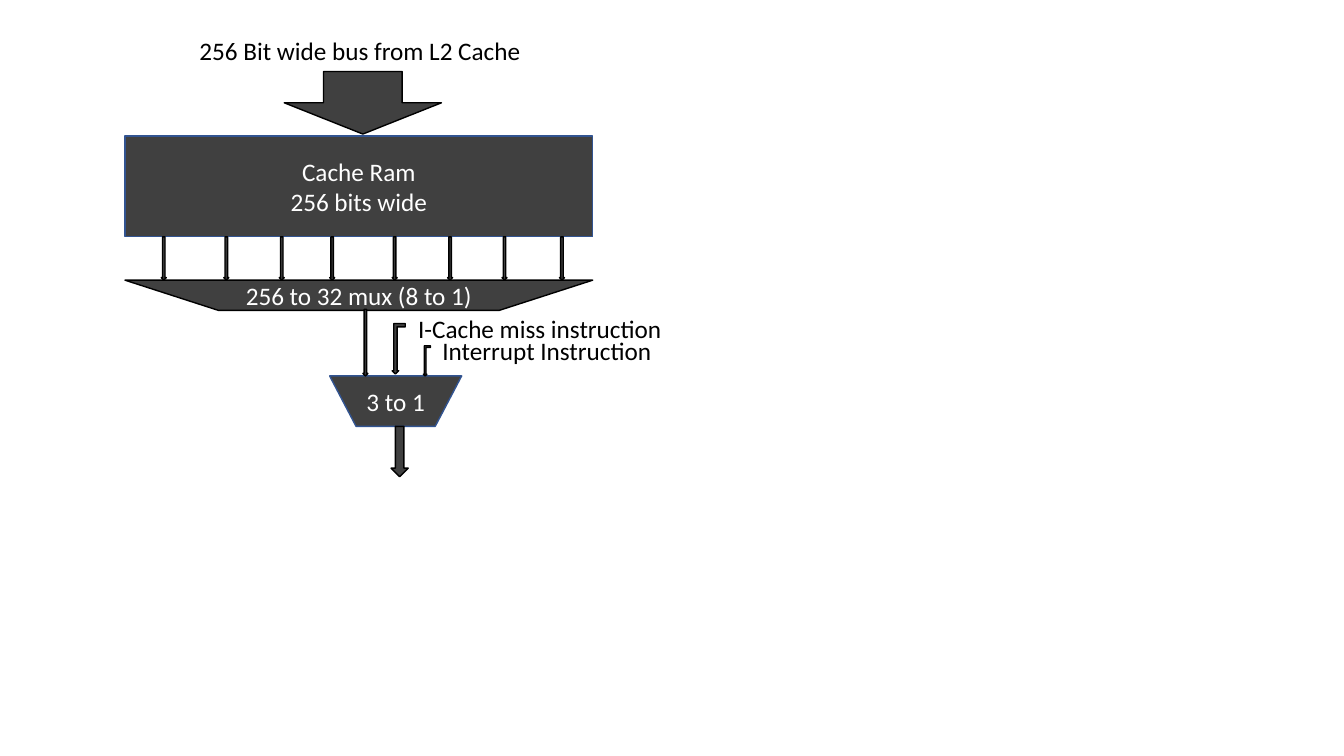
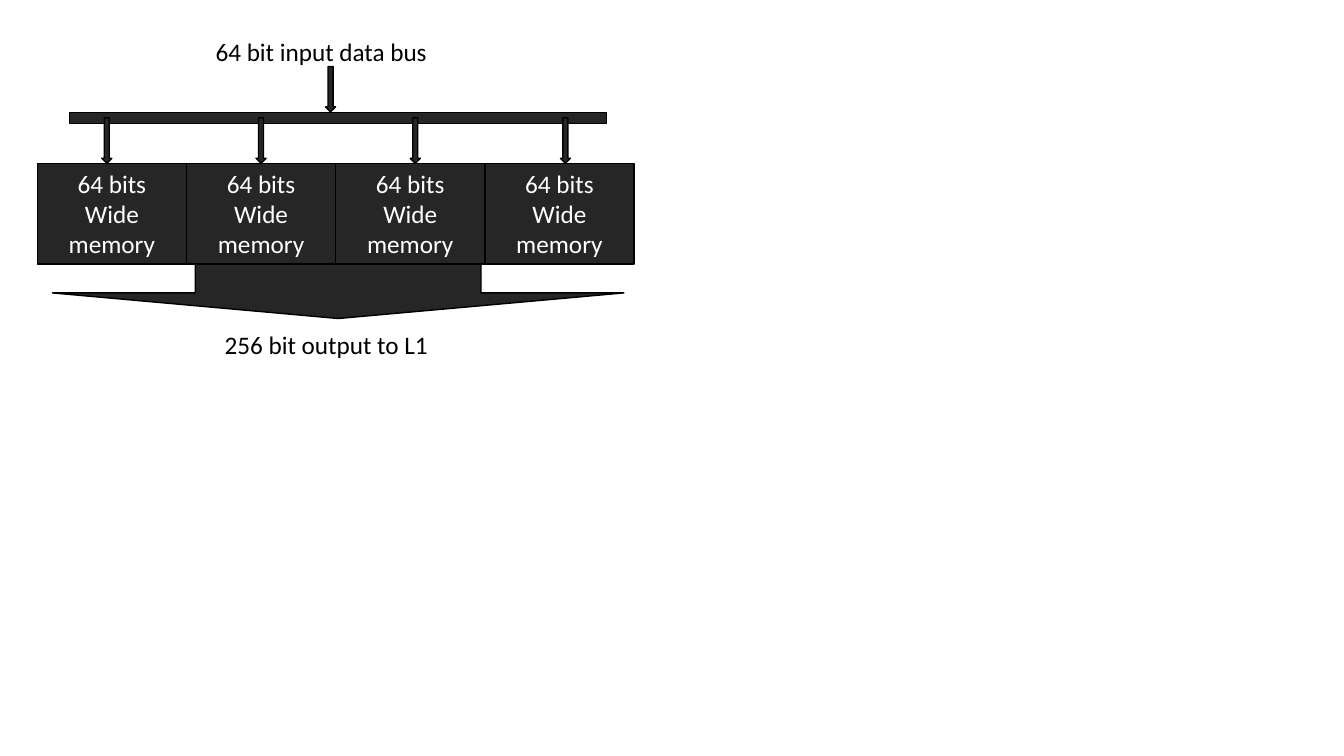
import pptx
import pptx.dml.color
import pptx.enum.shapes
import pptx.enum.text
import pptx.util

COLORS = {
    "gray": "404040",
    "dark": "262626",
    "blue": "325491",
    "black": "000000",
    "white": "FFFFFF",
}
FONT = "Calibri"
SIZE = 18
CELL = 0.1  # side of one grid cell, in inches
KIND = pptx.enum.shapes.MSO_SHAPE
ALIGN = pptx.enum.text.PP_ALIGN


def cells(*counts):
    """Turn counts of grid columns or rows into lengths."""
    return [pptx.util.Inches(count * CELL) for count in counts]


def color(name):
    """Look up a named colour."""
    return pptx.dml.color.RGBColor.from_string(COLORS[name])


def write(frame, lines, ink, align):
    """Fill a text frame with one paragraph per line."""
    for row, line in enumerate(lines):
        para = frame.paragraphs[0] if row == 0 else frame.add_paragraph()
        para.alignment = align
        run = para.add_run()
        run.text = line
        run.font.name = FONT
        run.font.size = pptx.util.Pt(SIZE)
        run.font.color.rgb = color(ink)


def block(slide, kind, area, fill, edge="black", lines=(), turn=0):
    """Add a filled, outlined shape with optional centred text."""
    shape = slide.shapes.add_shape(kind, *cells(*area))
    shape.shadow.inherit = False
    shape.rotation = turn
    shape.fill.solid()
    shape.fill.fore_color.rgb = color(fill)
    shape.line.color.rgb = color(edge)
    shape.line.width = pptx.util.Pt(1)
    write(shape.text_frame, lines, "white", ALIGN.CENTER)
    return shape


def arrows(slide, lefts, top, wide, high, fill):
    """Add a row of equal down arrows."""
    for left in lefts:
        block(slide, KIND.DOWN_ARROW, (left, top, wide, high), fill)


def label(slide, area, text, wrap=True):
    """Add a plain black caption."""
    frame = slide.shapes.add_textbox(*cells(*area)).text_frame
    frame.word_wrap = wrap
    frame.auto_size = pptx.enum.text.MSO_AUTO_SIZE.SHAPE_TO_FIT_TEXT
    write(frame, [text], "black", ALIGN.LEFT)


def draw_cache(slide):
    """Draw the cache RAM feeding two multiplexers."""
    left, wide = 12.4, 46.4
    mux = KIND.FLOWCHART_MANUAL_OPERATION
    block(slide, KIND.RECTANGLE, (left, 13.5, wide, 10), "gray", "blue",
          ["Cache Ram", "256 bits wide"])
    block(slide, mux, (left, 27.8, wide, 3), "gray",
          lines=["256 to 32 mux (8 to 1)"])
    words = [16, 22.2, 27.7, 32.7, 38.9, 44.4, 49.8, 55.5]
    arrows(slide, words, 23.5, 0.5, 4.3, "gray")
    block(slide, mux, (32.7, 37.3, 13.1, 5), "gray", "blue", ["3 to 1"])
    arrows(slide, [36], 30.7, 0.5, 6.6, "gray")
    label(slide, (40.5, 30.6, 26.4, 4), "I-Cache miss instruction", False)
    label(slide, (42.9, 32.8, 23, 4), "Interrupt Instruction", False)
    for area in [(38.9, 32.1, 1.3, 5), (42, 34.3, 0.7, 3)]:
        block(slide, KIND.BENT_UP_ARROW, area, "gray", turn=180)
    arrows(slide, [38.8], 42.3, 1.7, 5, "gray")
    arrows(slide, [28.2], 7.1, 15.6, 6.2, "gray")
    label(slide, (18.8, 3, 35.4, 4), "256 Bit wide bus from L2 Cache")


def draw_banks(slide):
    """Draw four memory banks between the input bus and the output."""
    left, top, wide, high = 3.7, 16.2, 14.8, 10
    for bank in range(4):
        block(slide, KIND.RECTANGLE, (left + bank * wide, top, wide, high),
              "dark", lines=["64 bits", "Wide memory"])
    block(slide, KIND.MATH_MINUS, (-2.7, 9.4, 72.5, 4.6), "dark")
    arrows(slide, [10.1, 25.4, 40.7, 55.6], 11.7, 1, 4.5, "dark")
    arrows(slide, [32.3], 6.6, 1, 4.5, "dark")
    label(slide, (20.4, 3.1, 28.9, 4), "64 bit input data bus ")
    out = block(slide, KIND.DOWN_ARROW, (5.2, top + high, 56.7, 5.4), "dark")
    out.adjustments[1] = 0.47
    label(slide, (21.3, 32.2, 28.9, 4), "256 bit output to L1")


def main():
    """Build and save the deck."""
    deck = pptx.Presentation()
    deck.slide_width, deck.slide_height = cells(133.33, 75)
    blank = deck.slide_layouts[6]
    for draw in (draw_cache, draw_banks):
        draw(deck.slides.add_slide(blank))
    deck.save("out.pptx")


main()
